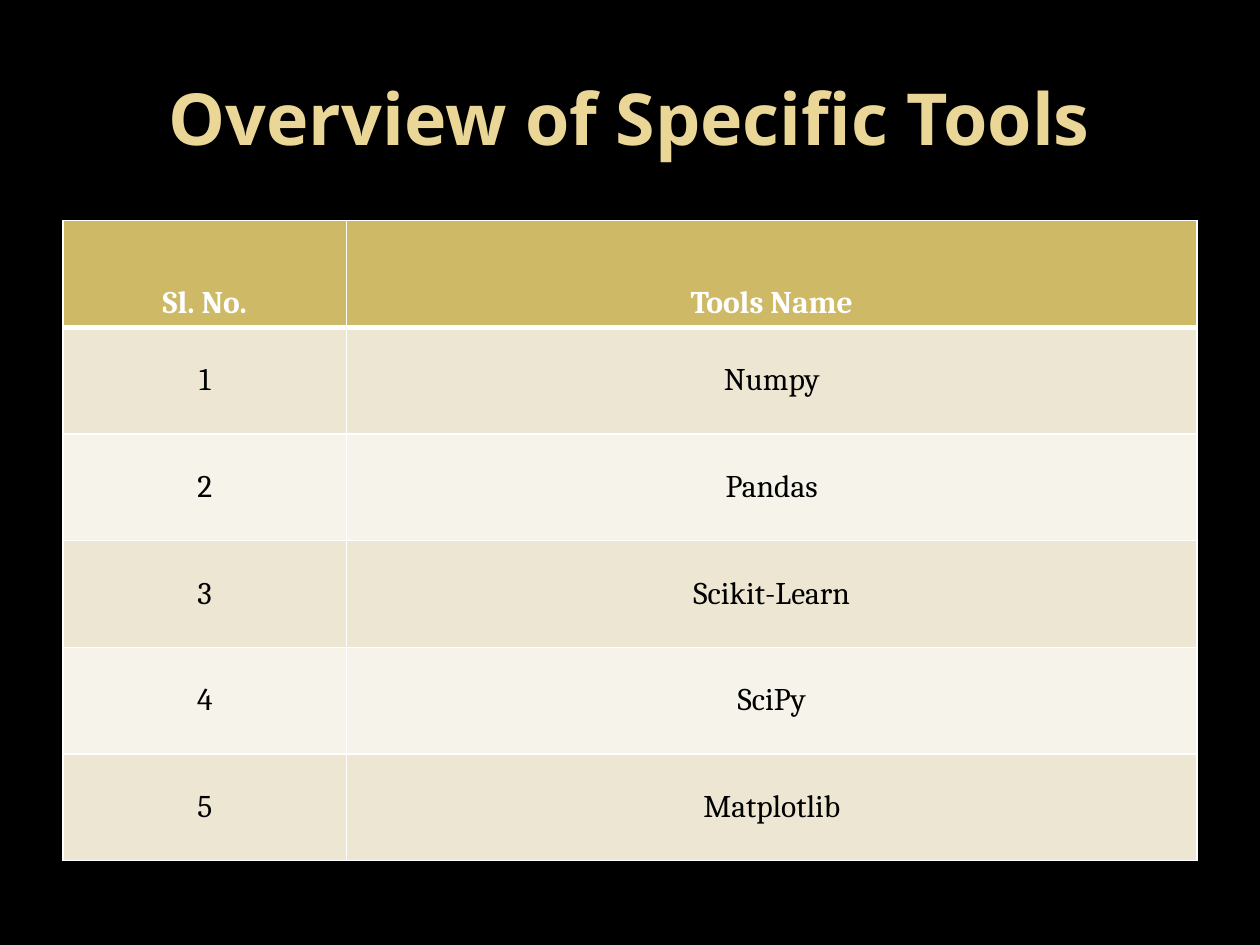
"""Build a slide with a title and a numbered table of Python tools."""
from lxml import etree
from pptx import Presentation
from pptx import util as u
from pptx.dml import color
from pptx.enum import text
from pptx.oxml import ns

TITLE = "Overview of Specific Tools"
HEADER = ("Sl. No.", "Tools Name")
TOOLS = ["Numpy", "Pandas", "Scikit-Learn", "SciPy", "Matplotlib"]
COLORS = {
    "background": "000000",
    "title": "EAD696",
    "header": "CEB966",
    "odd": "EDE6D3",
    "even": "F6F3EA",
    "border": "FFFFFF",
    "header_text": "FFFFFF",
    "body_text": "000000",
}
LEFT, WIDTH = u.Cm(1.27), u.Cm(22.86)
TITLE_TOP, TITLE_HEIGHT = u.Cm(0.76), u.Cm(3.18)
TABLE_TOP, ROW_HEIGHT = u.Cm(4.45), u.Cm(2.15)
HEADER_RULE, THIN_RULE = u.Pt(3), u.Pt(1)


def rgb(name):
    return color.RGBColor.from_string(COLORS[name])


def style_paragraph(paragraph, font_name, size, color_name, bold):
    paragraph.alignment = text.PP_ALIGN.CENTER
    font = paragraph.font
    font.name, font.size, font.bold = font_name, u.Pt(size), bold
    font.color.rgb = rgb(color_name)


def add_borders(cell, widths):
    properties = cell._tc.get_or_add_tcPr()
    for index, (side, width) in enumerate(widths.items()):
        line = etree.Element(ns.qn(f"a:ln{side}"), w=str(width))
        fill = etree.SubElement(line, ns.qn("a:solidFill"))
        etree.SubElement(fill, ns.qn("a:srgbClr"), val=COLORS["border"])
        properties.insert(index, line)


def add_title(slide):
    shape = slide.shapes.add_textbox(LEFT, TITLE_TOP, WIDTH, TITLE_HEIGHT)
    frame = shape.text_frame
    frame.word_wrap = True
    frame.vertical_anchor = text.MSO_ANCHOR.MIDDLE
    frame.text = TITLE
    style_paragraph(frame.paragraphs[0], "Open Sans", 41, "title", True)


def fill_cell(cell, value, row):
    is_header = row == 0
    cell.text = value
    cell.vertical_anchor = text.MSO_ANCHOR.BOTTOM if is_header else text.MSO_ANCHOR.MIDDLE
    cell.fill.solid()
    cell.fill.fore_color.rgb = rgb("header" if is_header else "odd" if row % 2 else "even")
    style_paragraph(cell.text_frame.paragraphs[0], "Cambria", 18,
                    "header_text" if is_header else "body_text", is_header)
    add_borders(cell, {
        "L": THIN_RULE,
        "R": THIN_RULE,
        "T": HEADER_RULE if row == 1 else THIN_RULE,
        "B": HEADER_RULE if is_header else THIN_RULE,
    })


def add_tools_table(slide):
    rows = [HEADER] + [(str(number), tool) for number, tool in enumerate(TOOLS, 1)]
    table = slide.shapes.add_table(len(rows), len(HEADER), LEFT, TABLE_TOP,
                                   WIDTH, ROW_HEIGHT * len(rows)).table
    table.columns[0].width = WIDTH // 4
    table.columns[1].width = WIDTH - WIDTH // 4
    for row, values in enumerate(rows):
        table.rows[row].height = ROW_HEIGHT
        for column, value in enumerate(values):
            fill_cell(table.cell(row, column), value, row)


def main():
    presentation = Presentation()
    presentation.slide_width, presentation.slide_height = u.Cm(25.4), u.Cm(19.05)
    slide = presentation.slides.add_slide(presentation.slide_layouts[6])
    slide.background.fill.solid()
    slide.background.fill.fore_color.rgb = rgb("background")
    add_title(slide)
    add_tools_table(slide)
    presentation.save("out.pptx")


if __name__ == "__main__":
    main()
